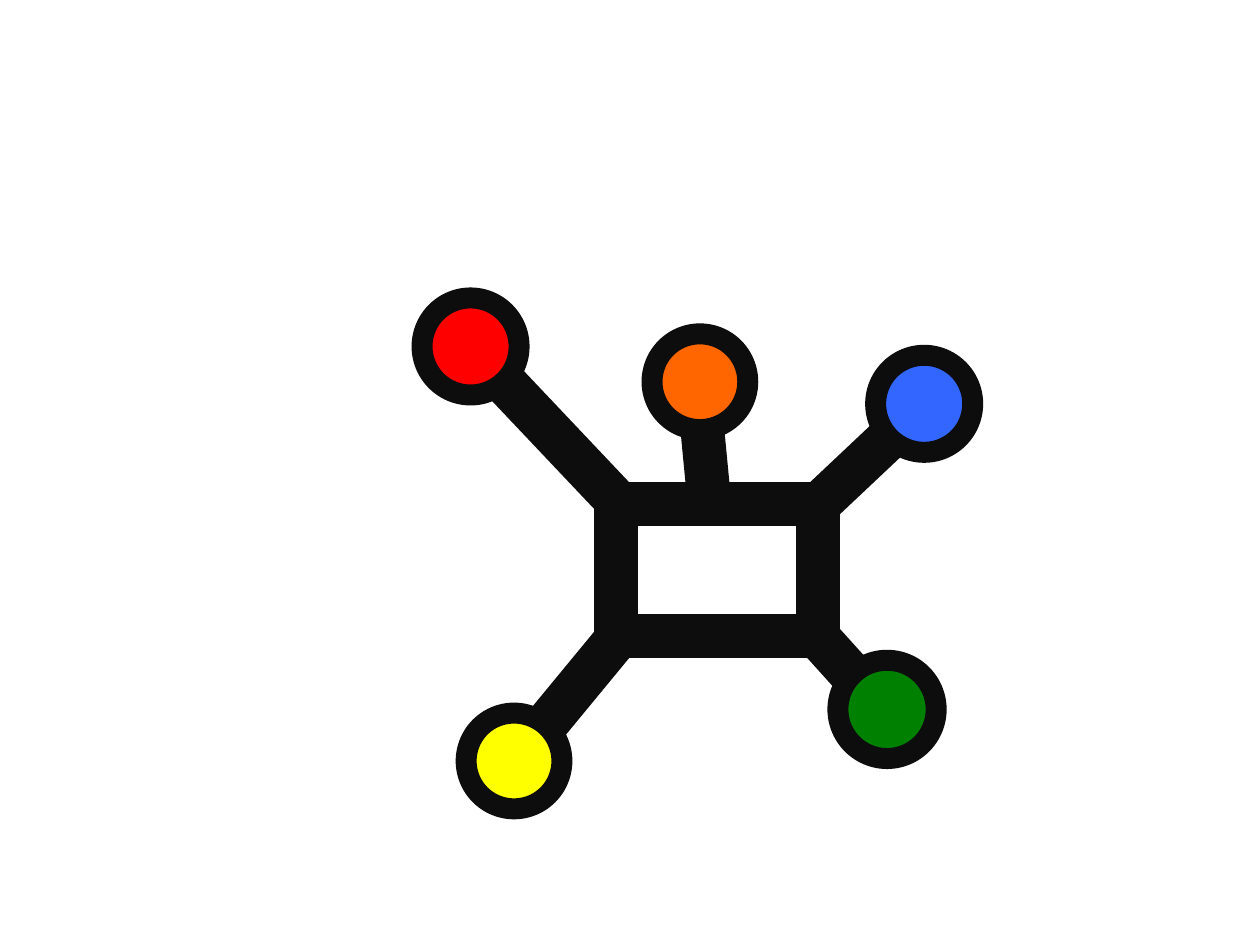
from pptx import Presentation
from pptx.dml.color import RGBColor
from pptx.enum.shapes import MSO_CONNECTOR, MSO_SHAPE
from pptx.oxml.ns import qn
from pptx.util import Inches, Pt
from lxml import etree

STRAIGHT = MSO_CONNECTOR.STRAIGHT
ELLIPSE = MSO_SHAPE.OVAL
RECTANGLE = MSO_SHAPE.RECTANGLE

COLORS = {
    "ink": "0D0D0D",
    "paper": "FFFFFF",
    "yellow": "FFFF00",
    "red": "FF0000",
    "blue": "3366FF",
    "green": "008000",
    "orange": "FF6600",
}
COLUMNS, ROWS = 100, 75
BAR_WIDTH, RING_WIDTH = 25, 12

# Start and end of each arm, as column and row
ARMS = [
    ((55.4, 30.5), (56.3, 39.9)),
    ((38.2, 28.4), (54, 45.1)),
    ((40.7, 60.7), (52.9, 45.9)),
    ((59.9, 44.8), (73.8, 31.7)),
    ((60.7, 45.9), (70.9, 57.2)),
]
# Colour, centre column, centre row and diameter of each node
NODES = [
    ("yellow", 40.8, 60.4, 7.6),
    ("red", 37.35, 27.5, 7.7),
    ("blue", 73.35, 32.05, 7.7),
    ("green", 70.4, 56.3, 7.8),
    ("orange", 55.55, 30.3, 7.6),
]


class Canvas:
    """Draws on one slide, with lengths in grid columns and rows."""

    def __init__(self, deck):
        self.column = deck.slide_width / COLUMNS
        self.row = deck.slide_height / ROWS
        self.slide = deck.slides.add_slide(deck.slide_layouts[6])

    def place(self, column, row):
        return round(column * self.column), round(row * self.row)

    def color(self, name):
        return RGBColor.from_string(COLORS[name])

    def ink(self, line, width):
        line.color.rgb = self.color("ink")
        line.width = Pt(width)

    def arm(self, start, end):
        connector = self.slide.shapes.add_connector(
            STRAIGHT, *self.place(*start), *self.place(*end))
        self.ink(connector.line, BAR_WIDTH)
        etree.SubElement(connector._element.spPr, qn("a:effectLst"))

    def shape(self, kind, left, top, width, height, fill, line_width=None):
        shape = self.slide.shapes.add_shape(
            kind, *self.place(left, top), *self.place(width, height))
        shape.shadow.inherit = False
        shape.fill.solid()
        shape.fill.fore_color.rgb = self.color(fill)
        if line_width:
            self.ink(shape.line, line_width)
        else:
            shape.line.fill.background()

    def node(self, fill, column, row, diameter):
        radius = diameter / 2
        self.shape(ELLIPSE, column - radius, row - radius,
                   diameter, diameter, fill, RING_WIDTH)

    def body(self):
        """White backing that hides the arm ends, then the thick frame."""
        self.shape(RECTANGLE, 47.8, 39.3, 17.8, 11.9, "paper")
        self.shape(RECTANGLE, 48.9, 40, 16, 10.5, "paper", BAR_WIDTH)


def main():
    deck = Presentation()
    deck.slide_width, deck.slide_height = Inches(10), Inches(7.5)
    canvas = Canvas(deck)
    for start, end in ARMS:
        canvas.arm(start, end)
    for node in NODES:
        canvas.node(*node)
    canvas.body()
    deck.save("out.pptx")


if __name__ == "__main__":
    main()
